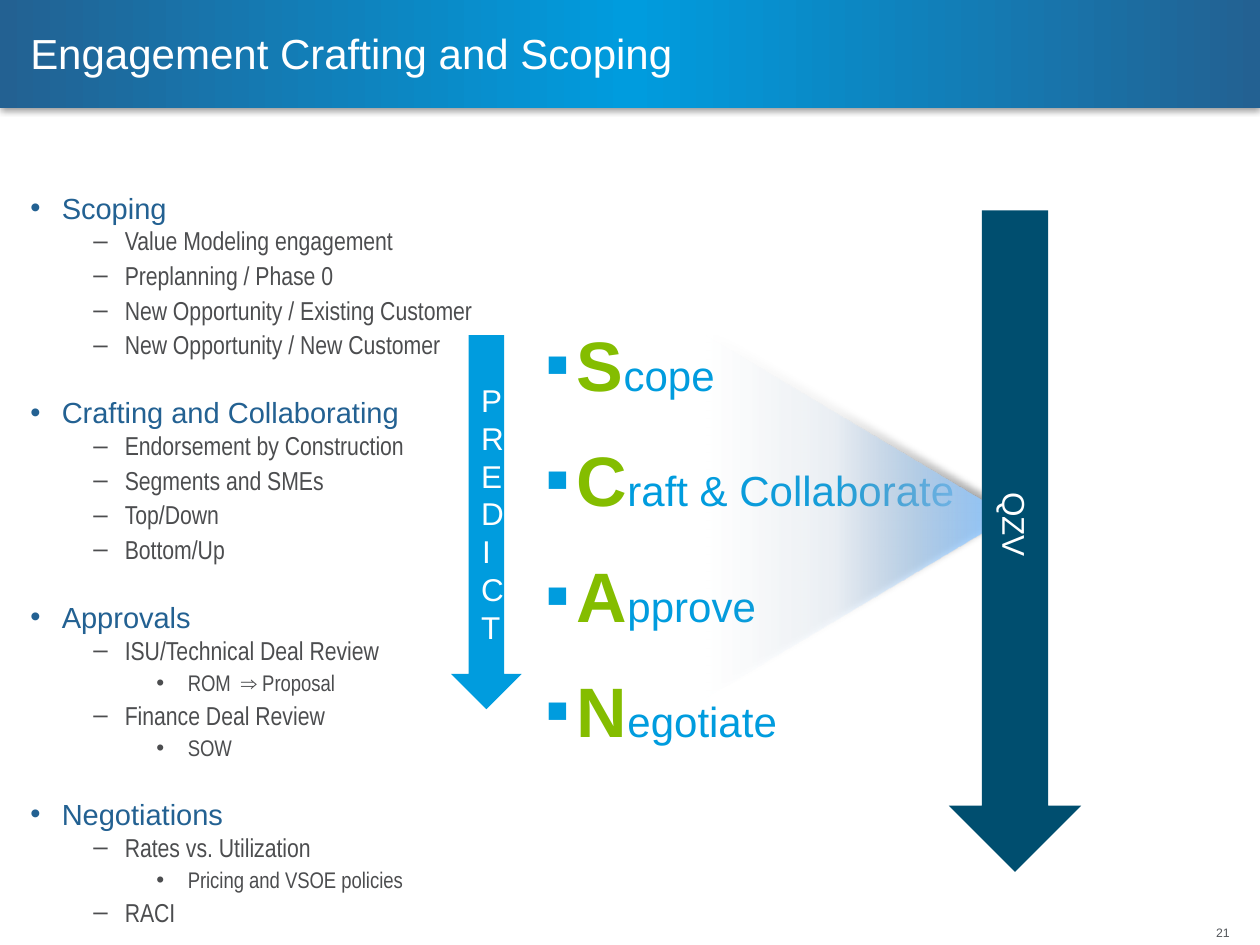
from lxml.etree import SubElement
from pptx import Presentation
from pptx.dml.color import RGBColor
from pptx.enum.shapes import MSO_SHAPE
from pptx.enum.text import MSO_ANCHOR, PP_ALIGN
from pptx.oxml.ns import qn
from pptx.util import Pt

COLORS = {
    "navy": "236192", "blue": "009CDE", "teal": "004E6F", "green": "84BD00",
    "body": "4C4D4F", "number": "53565A", "white": "FFFFFF", "black": "000000",
    "beam": "8AC5FF", "beam_mid": "B8DAFE", "beam_end": "DDECFE",
}

# Outline format by level: size, font, colour, bullet, space before, space after
LEVELS = [
    (16.6, "Arial", "navy", "•", 18, 0),
    (14.8, "Arial Narrow", "body", "–", 0, 2),
    (12.9, "Arial Narrow", "body", "•", 0, 2),
]
OUTLINE = [
    (0, "Scoping"),
    (1, "Value Modeling engagement"),
    (1, "Preplanning / Phase 0"),
    (1, "New Opportunity / Existing Customer"),
    (1, "New Opportunity / New Customer"),
    (0, "Crafting and Collaborating"),
    (1, "Endorsement by Construction"),
    (1, "Segments and SMEs"),
    (1, "Top/Down"),
    (1, "Bottom/Up"),
    (0, "Approvals"),
    (1, "ISU/Technical Deal Review"),
    (2, "ROM  ⇒ Proposal"),
    (1, "Finance Deal Review"),
    (2, "SOW"),
    (0, "Negotiations"),
    (1, "Rates vs. Utilization"),
    (2, "Pricing and VSOE policies"),
    (1, "RACI"),
]
SCAN = ["Scope", "Craft & Collaborate", "Approve", "Negotiate"]


def add_run(p, text, *, size, color, font="Arial", bold=False):
    r = p.add_run()
    r.text = text
    r.font.size, r.font.name, r.font.bold = Pt(size), font, bold
    r.font.color.rgb = RGBColor.from_string(COLORS[color])


def add_color(parent, color, alpha=100):
    clr = SubElement(parent, qn("a:srgbClr"), val=COLORS[color])
    if alpha < 100:
        SubElement(clr, qn("a:alpha"), val=str(alpha * 1000))


def set_bullet(p, char, color, level=0):
    pPr = p._p.get_or_add_pPr()
    pPr.set("marL", str(Pt(18 + 36 * level)))
    pPr.set("indent", str(Pt(-18)))
    add_color(SubElement(pPr, qn("a:buClr")), color)
    SubElement(pPr, qn("a:buFont"), typeface="Arial")
    SubElement(pPr, qn("a:buChar"), char=char)


def set_gradient(sp, stops, angle):
    sp.fill.gradient()
    grad = sp._element.spPr.find(qn("a:gradFill"))
    for child in list(grad):
        grad.remove(child)
    grad.set("rotWithShape", "1")
    stop_list = SubElement(grad, qn("a:gsLst"))
    for pos, color, alpha in stops:
        add_color(SubElement(stop_list, qn("a:gs"), pos=str(pos * 1000)), color, alpha)
    SubElement(grad, qn("a:lin"), ang=str(angle * 60000), scaled="0")


def set_shadow(sp, *, blur, dist, angle):
    effects = sp._element.spPr.find(qn("a:effectLst"))
    shadow = SubElement(effects, qn("a:outerShdw"), blurRad=str(Pt(blur)),
                        dist=str(Pt(dist)), dir=str(angle * 60000),
                        algn="ctr", rotWithShape="0")
    add_color(shadow, "black", 40)


def add_shape(s, kind, box):
    sp = s.shapes.add_shape(kind, *map(Pt, box))
    sp.shadow.inherit = False
    sp.line.fill.background()
    return sp


def add_text_frame(s, box, inset=True):
    tf = s.shapes.add_textbox(*map(Pt, box)).text_frame
    tf.word_wrap = True
    if not inset:
        tf.margin_left = tf.margin_right = tf.margin_top = tf.margin_bottom = 0
    return tf


def add_header(s, box, title):
    x, y, w, h = box
    band = add_shape(s, MSO_SHAPE.RECTANGLE, box)
    set_gradient(band, [(0, "navy", 100), (50, "blue", 100), (100, "navy", 100)], 0)
    set_shadow(band, blur=4, dist=1, angle=90)
    tf = add_text_frame(s, (x + 17.3, y + 12.2, w - 121, 36), inset=False)
    tf.vertical_anchor = MSO_ANCHOR.MIDDLE
    add_run(tf.paragraphs[0], title, size=24, color="white")


def add_page_number(s, box, number):
    p = add_text_frame(s, box, inset=False).paragraphs[0]
    p.alignment = PP_ALIGN.RIGHT
    add_run(p, number, size=7, color="number")


def add_outline(s, box):
    tf = add_text_frame(s, box, inset=False)
    for i, (level, text) in enumerate(OUTLINE):
        size, font, color, char, before, after = LEVELS[level]
        p = tf.add_paragraph() if i else tf.paragraphs[0]
        p.level = level
        p.space_before, p.space_after = Pt(before), Pt(after)
        set_bullet(p, char, color, level)
        add_run(p, text, size=size, color=color, font=font)


def add_scan_list(s, box):
    tf = add_text_frame(s, box)
    for i, word in enumerate(SCAN):
        p = tf.add_paragraph() if i else tf.paragraphs[0]
        p.space_before = Pt(18)
        set_bullet(p, "▪", "blue")
        add_run(p, word[0], size=40, color="green", bold=True)
        add_run(p, word[1:], size=24, color="blue")


def add_down_arrow(s, box, text, color, direction):
    sp = add_shape(s, MSO_SHAPE.DOWN_ARROW, box)
    sp.fill.solid()
    sp.fill.fore_color.rgb = RGBColor.from_string(COLORS[color])
    tf = sp.text_frame
    tf.vertical_anchor = MSO_ANCHOR.MIDDLE
    tf._txBody.bodyPr.set("vert", direction)
    p = tf.paragraphs[0]
    p.alignment = PP_ALIGN.CENTER
    add_run(p, text, size=18, color="white")


def add_beam(s, box):
    sp = add_shape(s, MSO_SHAPE.ISOSCELES_TRIANGLE, box)
    sp.rotation = 90
    set_gradient(sp, [(0, "beam", 100), (58, "beam_mid", 13), (100, "beam_end", 0)], 90)
    set_shadow(sp, blur=4, dist=3, angle=315)


def main():
    prs = Presentation()
    prs.slide_width, prs.slide_height = Pt(720), Pt(540)
    s = prs.slides.add_slide(prs.slide_layouts[6])

    # Header, page number and outline
    add_header(s, (0, 0, 720, 61.9), "Engagement Crafting and Scoping")
    add_page_number(s, (667.4, 528.5, 35.3, 8.6), "21")
    add_outline(s, (17.3, 108.7, 684.7, 396))

    # Process diagram, back to front
    add_scan_list(s, (304.6, 180, 255.6, 229.7))
    add_down_arrow(s, (257.8, 191.5, 40.3, 213.8), "PREDICT", "blue", "wordArtVert")
    add_beam(s, (385.9, 208.1, 208.1, 174.2))
    add_down_arrow(s, (542.2, 120.2, 75.6, 378), "QZV", "teal", "vert")

    prs.save("out.pptx")


if __name__ == "__main__":
    main()
